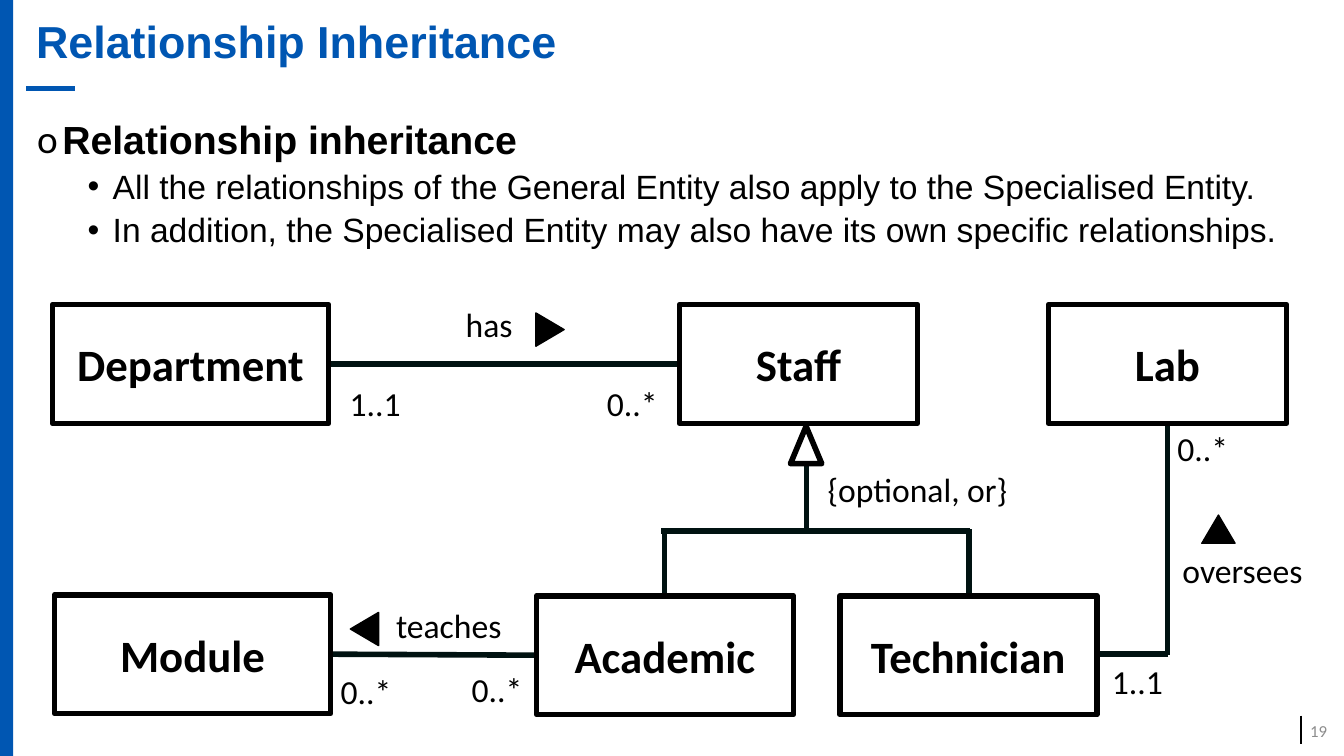
from lxml import etree
from pptx import Presentation, util as u
from pptx.dml.color import RGBColor
from pptx.enum import shapes, text
from pptx.oxml.ns import qn

PX = 9144  # 100 px to the inch
INK = {"blue": "0056B2", "black": "000000", "line": "001211",
       "white": "FFFFFF", "grey": "8C8C8C"}
KIND = shapes.MSO_SHAPE
MID = text.MSO_ANCHOR.MIDDLE

prs = Presentation()
prs.slide_width, prs.slide_height = 1333 * PX, 750 * PX
slide = prs.slides.add_slide(prs.slide_layouts[6])
items = slide.shapes


def shape(kind, box, fill=None, line=None, width=4, turn=0):
    item = items.add_shape(kind, *[n * PX for n in box])
    item.shadow.inherit = False
    item.rotation = turn
    if fill:
        item.fill.solid()
        item.fill.fore_color.rgb = RGBColor.from_string(INK[fill])
    else:
        item.fill.background()
    if line:
        item.line.color.rgb = RGBColor.from_string(INK[line])
        item.line.width = u.Pt(width)
    else:
        item.line.fill.background()
    return item


def write(item, words, size, face="Calibri", ink="black", bold=False, mark=None, left=0):
    """Add a paragraph to a shape, with a bullet if mark is given."""
    frame = item.text_frame
    frame.word_wrap = True
    first = not frame.text
    para = frame.paragraphs[0] if first else frame.add_paragraph()
    para.text = words
    if mark:
        props = para._p.get_or_add_pPr()
        props.set("marL", str(left * PX))
        props.set("indent", str(-25 * PX))
        face_el = etree.SubElement(props, qn("a:buFont"))
        face_el.set("typeface", "Calibri" if mark == "o" else "Arial")
        etree.SubElement(props, qn("a:buChar")).set("char", mark)
        para.line_spacing = 0.9
        if not first:
            para.space_before = u.Pt(5)
    font = para.font
    font.size, font.name, font.bold = u.Pt(size), face, bold
    font.color.rgb = RGBColor.from_string(INK[ink])
    return para


# Page frame
shape(KIND.RECTANGLE, (0, 0, 13, 750), "blue")

# Rules and relationship lines
for x1, y1, x2, y2, ink, width in [
    (1290, 710, 1290, 738, "black", 1.5),
    (74, 88, 26, 88, "blue", 4),
    (327, 361, 674, 361, "line", 4),
    (656, 527, 962, 527, "line", 4),
    (800, 527, 800, 460, "line", 4),
    (659, 525, 659, 591, "line", 4),
    (961, 525, 961, 591, "line", 4),
    (329, 649, 532, 650, "line", 4),
    (1088, 649, 1158, 649, "line", 4),
    (1158, 650, 1158, 420, "line", 4),
]:
    rule = items.add_connector(shapes.MSO_CONNECTOR.STRAIGHT,
                               *[n * PX for n in (x1, y1, x2, y2)])
    rule.line.color.rgb = RGBColor.from_string(INK[ink])
    rule.line.width = u.Pt(width)
    etree.SubElement(rule._element.spPr, qn("a:effectLst"))

# Title and bullets
title = items.add_textbox(26 * PX, 0, 1294 * PX, 88 * PX)
title.text_frame.vertical_anchor = MID
write(title, "Relationship Inheritance", 32, "Arial", "blue", True).line_spacing = 0.9

body = items.add_textbox(*[n * PX for n in (27, 115, 1294, 165)])
write(body, "Relationship inheritance", 28, "Arial", bold=True, mark="o", left=25)
for point in [
    "All the relationships of the General Entity also apply to the Specialised Entity.",
    "In addition, the Specialised Entity may also have its own specific relationships.",
]:
    write(body, point, 24, "Arial", mark="•", left=75)

# Entities
for name, x, y, wide in [
    ("Department", 52, 302, 274),
    ("Staff", 674, 302, 236),
    ("Lab", 1040, 302, 236),
    ("Module", 54, 590, 274),
    ("Academic", 532, 591, 255),
    ("Technician", 833, 591, 255),
]:
    box = shape(KIND.RECTANGLE, (x, y, wide, 118), line="black")
    box.text_frame.vertical_anchor = MID
    write(box, name, 32, bold=True).alignment = text.PP_ALIGN.CENTER

# Inheritance head and reading directions
shape(KIND.ISOSCELES_TRIANGLE, (784, 423, 31, 37), "white", "black")
for x, y, turn in [(529, 313, 90), (1192, 511, 0), (345, 610, 270)]:
    shape(KIND.ISOSCELES_TRIANGLE, (x, y, 33, 28), "black", "black", 1, turn)

# Relationship names and multiplicities
for words, x, y, wide in [
    ("has", 452, 297, 121),
    ("0..*", 592, 375, 98),
    ("1..1", 337, 375, 98),
    ("oversees", 1163, 541, 157),
    ("teaches", 383, 595, 146),
    ("0..*", 328, 661, 98),
    ("0..*", 458, 659, 98),
    ("0..*", 1158, 420, 98),
    ("1..1", 1093, 651, 98),
    ("{optional, or}", 811, 460, 202),
]:
    write(items.add_textbox(x * PX, y * PX, wide * PX, 50 * PX), words, 24)

# Page number
page = items.add_textbox(*[n * PX for n in (1284, 705, 42, 40)])
page.text_frame.vertical_anchor = MID
write(page, "19", 12, ink="grey").alignment = text.PP_ALIGN.RIGHT

prs.save("out.pptx")
